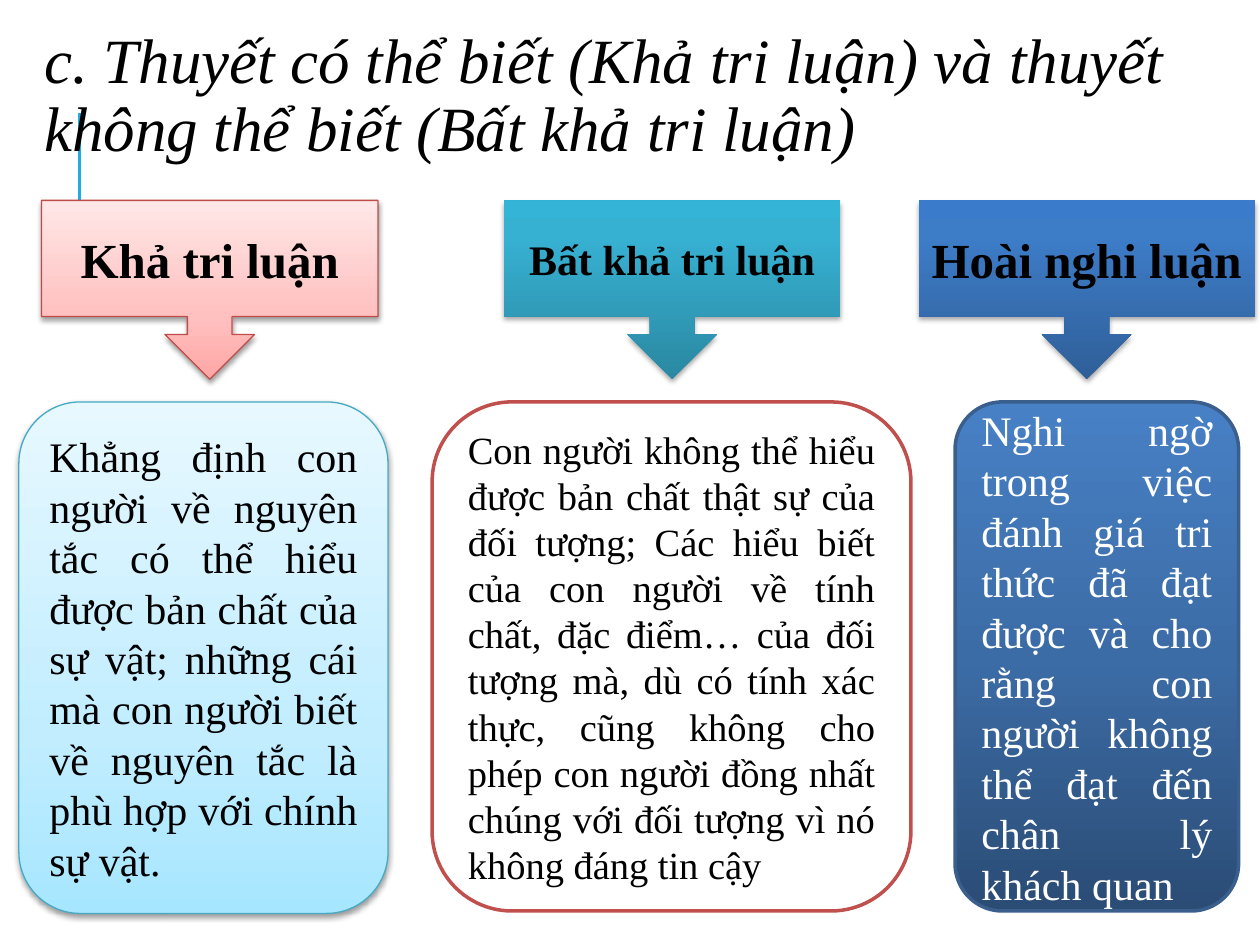
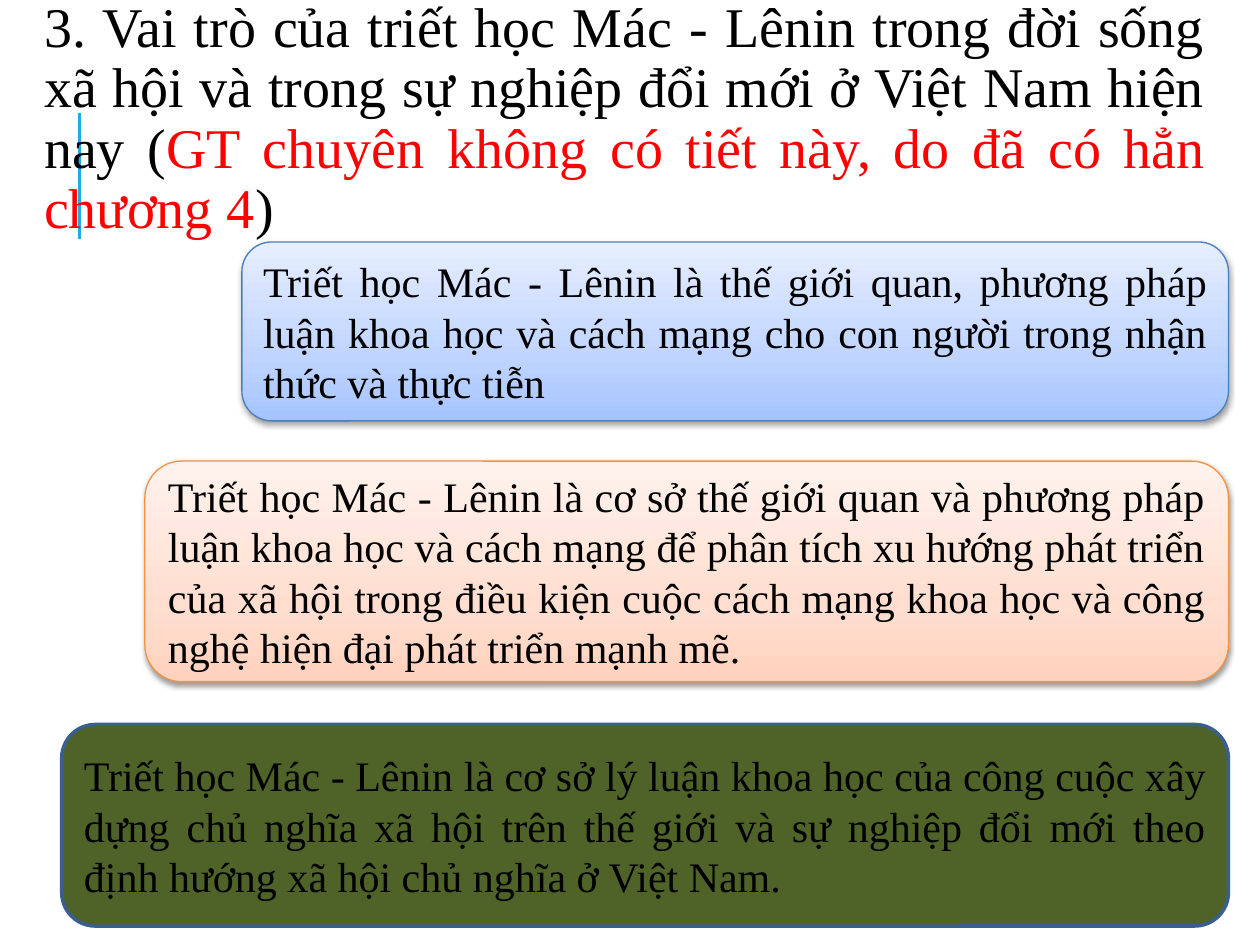
from copy import deepcopy
from typing import Any, NamedTuple, Optional

from lxml import etree
from pptx import Presentation
from pptx.dml.color import RGBColor
from pptx.enum.shapes import MSO_CONNECTOR, MSO_SHAPE
from pptx.enum.text import MSO_ANCHOR, MSO_AUTO_SIZE, PP_ALIGN
from pptx.oxml.ns import qn
from pptx.util import Inches, Pt

ARROW = MSO_SHAPE.DOWN_ARROW_CALLOUT
CARD = MSO_SHAPE.FLOWCHART_ALTERNATE_PROCESS
STRAIGHT = MSO_CONNECTOR.STRAIGHT
MIDDLE = MSO_ANCHOR.MIDDLE
FIXED = MSO_AUTO_SIZE.NONE
LEFT, CENTER, JUSTIFY = PP_ALIGN.LEFT, PP_ALIGN.CENTER, PP_ALIGN.JUSTIFY

FONT = "Times New Roman"
BLACK = RGBColor(0x00, 0x00, 0x00)
WHITE = RGBColor(0xFF, 0xFF, 0xFF)
RED = RGBColor(0xFF, 0x00, 0x00)
SKY = RGBColor(0x1C, 0xAD, 0xE4)
BRICK = RGBColor(0xC0, 0x50, 0x4D)
NAVY = RGBColor(0x3A, 0x5F, 0x8C)
OLIVE = RGBColor(0x4F, 0x62, 0x28)
ROSE = RGBColor(0xBF, 0x4C, 0x48)
TEAL = RGBColor(0x46, 0xAA, 0xC5)
BLUE = RGBColor(0x4B, 0x7E, 0xBC)
AMBER = RGBColor(0xF6, 0x92, 0x40)


class Shade(NamedTuple):
    low: RGBColor
    mid: RGBColor
    high: RGBColor
    split: float


class Shadow(NamedTuple):
    alpha: int
    gap: float


class Look(NamedTuple):
    fill: RGBColor | Shade
    edge: Optional[RGBColor] = None
    width: float = 0.75
    shadow: Optional[Shadow] = None
    ink: RGBColor = BLACK


class Box(NamedTuple):
    left: float
    top: float
    width: float
    height: float


class Panel(NamedTuple):
    box: Box
    text: str
    look: Look
    size: int = 24


class Part(NamedTuple):
    text: str
    ink: RGBColor = BLACK


SOFT = Shadow(38, 1.6)
DEEP = Shadow(35, 1.8)

PINK_LOOK = Look(Shade(RGBColor(0xFF, 0xA6, 0xA5), RGBColor(0xFF, 0xC0, 0xBF),
                       RGBColor(0xFF, 0xE7, 0xE7), 0.35), ROSE, shadow=SOFT)
TEAL_LOOK = Look(Shade(RGBColor(0x2A, 0x88, 0xA2), RGBColor(0x37, 0xB1, 0xD2),
                       RGBColor(0x34, 0xB4, 0xD6), 0.8), shadow=DEEP)
BLUE_LOOK = Look(Shade(RGBColor(0x2F, 0x5F, 0x99), RGBColor(0x3D, 0x7C, 0xC7),
                       RGBColor(0x3A, 0x7C, 0xCB), 0.8), shadow=DEEP)
AQUA_LOOK = Look(Shade(RGBColor(0xA7, 0xE6, 0xFF), RGBColor(0xC1, 0xED, 0xFF),
                       RGBColor(0xE7, 0xF8, 0xFF), 0.35), TEAL, shadow=SOFT)
PLAIN_LOOK = Look(WHITE, BRICK, 2)
NIGHT_LOOK = Look(Shade(RGBColor(0x2A, 0x4C, 0x75), RGBColor(0x3C, 0x6C, 0xA6),
                        RGBColor(0x47, 0x80, 0xC5), 0.5), NAVY, 2, ink=WHITE)
ICE_LOOK = Look(Shade(RGBColor(0xA4, 0xC4, 0xFF), RGBColor(0xBF, 0xD4, 0xFF),
                      RGBColor(0xE6, 0xEE, 0xFF), 0.35), BLUE, shadow=SOFT)
PEACH_LOOK = Look(Shade(RGBColor(0xFF, 0xD2, 0xBD), RGBColor(0xFF, 0xDE, 0xD0),
                        RGBColor(0xFF, 0xF2, 0xED), 0.35), AMBER, shadow=SOFT)
OLIVE_LOOK = Look(OLIVE, NAVY, 2)

HEAD_TOP, HEAD_WIDTH, HEAD_HEIGHT = 1.59, 2.67, 1.42
BODY_TOP = 3.19
RIGHT = 9.75

HEADS = [
    Panel(Box(left, HEAD_TOP, HEAD_WIDTH, HEAD_HEIGHT), text, look, size)
    for left, text, look, size in [
        (0.33, "Khả tri luận", PINK_LOOK, 28),
        (4, "Bất khả tri luận", TEAL_LOOK, 24),
        (7.29, "Hoài nghi luận", BLUE_LOOK, 28),
    ]
]
VIEWS = [
    Panel(Box(0.15, BODY_TOP, 2.93, 4.06),
          "Khẳng định con người về nguyên tắc có thể hiểu được bản chất của sự vật; "
          "những cái mà con người biết về nguyên tắc là phù hợp với chính sự vật.",
          AQUA_LOOK),
    Panel(Box(3.43, BODY_TOP, 3.8, 4.04),
          "Con người không thể hiểu được bản chất thật sự của đối tượng; Các hiểu biết "
          "của con người về tính chất, đặc điểm… của đối tượng mà, dù có tính xác thực, "
          "cũng không cho phép con người đồng nhất chúng với đối tượng vì nó không đáng "
          "tin cậy", PLAIN_LOOK, 22),
    Panel(Box(7.58, BODY_TOP, 2.25, 4.04),
          "Nghi ngờ trong việc đánh giá tri thức đã đạt được và cho rằng con người không "
          "thể đạt đến chân lý khách quan", NIGHT_LOOK),
]
ROLES = [
    Panel(Box(RIGHT - width, top, width, height), "Triết học Mác - Lênin là " + text, look)
    for top, width, height, text, look in [
        (1.92, 7.83, 1.42,
         "thế giới quan, phương pháp luận khoa học và cách mạng cho con người trong "
         "nhận thức và thực tiễn", ICE_LOOK),
        (3.66, 8.6, 1.75,
         "cơ sở thế giới quan và phương pháp luận khoa học và cách mạng để phân tích xu "
         "hướng phát triển của xã hội trong điều kiện cuộc cách mạng khoa học và công "
         "nghệ hiện đại phát triển mạnh mẽ.", PEACH_LOOK),
        (5.75, 9.26, 1.6,
         "cơ sở lý luận khoa học của công cuộc xây dựng chủ nghĩa xã hội trên thế giới "
         "và sự nghiệp đổi mới theo định hướng xã hội chủ nghĩa ở Việt Nam.", OLIVE_LOOK),
    ]
]


def format_all(target: Any, values: dict[str, Any]) -> None:
    for name, value in values.items():
        setattr(target, name, value)


def add_run(para: Any, part: Part, size: int, **extra: bool) -> None:
    run = para.add_run()
    run.text = part.text
    format_all(run.font, {"name": FONT, "size": Pt(size), **extra})
    run.font.color.rgb = part.ink


def paint(shape: Any, fill: RGBColor | Shade) -> None:
    if isinstance(fill, RGBColor):
        shape.fill.solid()
        shape.fill.fore_color.rgb = fill
        return
    shape.fill.gradient()
    shape.fill.gradient_angle = 90
    first = next(shape.element.iter(qn("a:gs")))
    first.addnext(deepcopy(first))
    colors = (fill.low, fill.mid, fill.high)
    for stop, color, place in zip(shape.fill.gradient_stops, colors, (0, fill.split, 1)):
        stop.color.rgb = color
        stop.position = place


def cast(shape: Any, shadow: Shadow) -> None:
    effects = shape.element.spPr.find(qn("a:effectLst"))
    outer = etree.SubElement(effects, qn("a:outerShdw"), blurRad=str(Pt(3.1)),
                             dist=str(Pt(shadow.gap)), dir="5400000", rotWithShape="0")
    color = etree.SubElement(outer, qn("a:srgbClr"), val=str(BLACK))
    etree.SubElement(color, qn("a:alpha"), val=str(shadow.alpha * 1000))


def add_panel(slide: Any, panel: Panel, kind: Any, align: Any, bold: bool) -> None:
    look = panel.look
    shape = slide.shapes.add_shape(kind, *map(Inches, panel.box))
    paint(shape, look.fill)
    if look.edge is None:
        shape.line.fill.background()
    else:
        shape.line.color.rgb = look.edge
        shape.line.width = Pt(look.width)
    shape.shadow.inherit = False
    if look.shadow:
        cast(shape, look.shadow)
    format_all(shape.text_frame, {"word_wrap": True, "vertical_anchor": MIDDLE})
    para = shape.text_frame.paragraphs[0]
    para.alignment = align
    add_run(para, Part(panel.text, look.ink), panel.size, bold=bold)


def set_title(slide: Any, box: Box, parts: list[Part], size: int, align: Any,
              inset: float = 0.05, italic: bool = False) -> None:
    title = slide.shapes.title
    format_all(title, dict(zip(box._fields, map(Inches, box))))
    format_all(title.text_frame, {
        "word_wrap": True, "auto_size": FIXED, "vertical_anchor": MIDDLE,
        "margin_left": Inches(0.1), "margin_right": Inches(0.1),
        "margin_top": Inches(inset), "margin_bottom": Inches(0.05)})
    para = title.text_frame.paragraphs[0]
    format_all(para, {"alignment": align, "line_spacing": 0.9})
    for part in parts:
        add_run(para, part, size, italic=italic)


def add_rule(slide: Any) -> None:
    ends = map(Inches, (0.63, 1.9, 0.63, 0.9))
    rule = slide.shapes.add_connector(STRAIGHT, *ends)
    rule.line.color.rgb = SKY
    rule.line.width = Pt(1.5)
    etree.SubElement(rule.element.spPr, qn("a:effectLst"))
    slide.slide_layout.shapes.element.append(rule.element)


def main() -> None:
    deck = Presentation()
    format_all(deck, {"slide_width": Inches(10), "slide_height": Inches(7.5)})
    layout = deck.slide_layouts[5]

    views = deck.slides.add_slide(layout)
    add_rule(views)
    set_title(views, Box(0.25, 0.17, 9.75, 1.2),
              [Part("c. Thuyết có thể biết (Khả tri luận) và thuyết không thể biết "
                    "(Bất khả tri luận)")], 36, LEFT, italic=True)
    for panel in HEADS:
        add_panel(views, panel, ARROW, CENTER, True)
    for panel in VIEWS:
        add_panel(views, panel, CARD, JUSTIFY, False)

    roles = deck.slides.add_slide(layout)
    set_title(roles, Box(0.25, 0.17, 9.42, 1.08),
              [Part("3. Vai trò của triết học Mác - Lênin trong đời sống xã hội và trong "
                    "sự nghiệp đổi mới ở Việt Nam hiện nay ("),
               Part("GT chuyên không có tiết này, do đã có hẳn chương 4", RED),
               Part(")")], 32, JUSTIFY, inset=0.53)
    for panel in ROLES:
        add_panel(roles, panel, CARD, JUSTIFY, False)

    deck.save("out.pptx")


if __name__ == "__main__":
    main()
